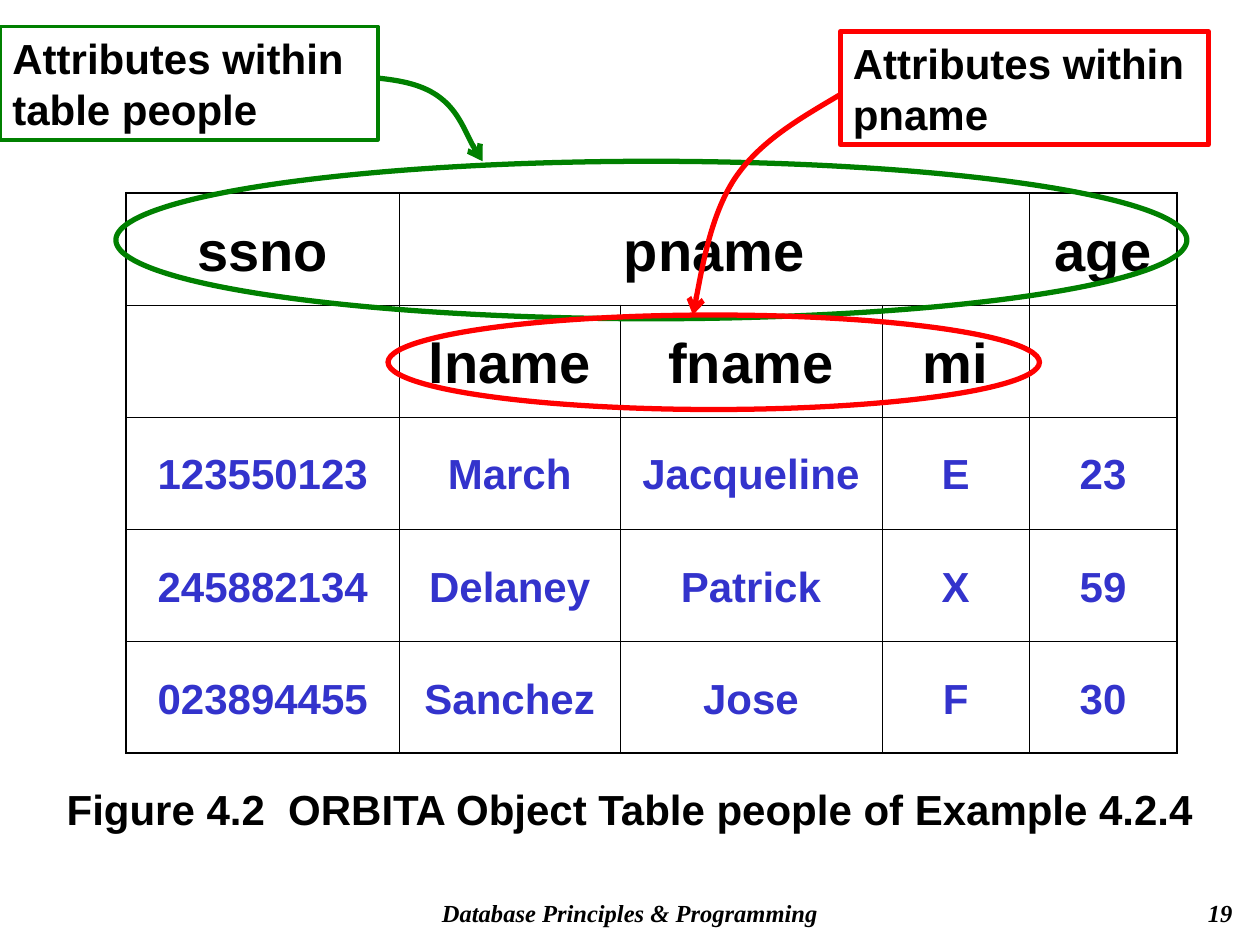
import dataclasses

import pptx
import pptx.dml.color
import pptx.enum.shapes
import pptx.enum.text
import pptx.oxml
import pptx.oxml.ns
import pptx.util

Inches, Pt = pptx.util.Inches, pptx.util.Pt
ALIGN = pptx.enum.text.PP_ALIGN
ANCHOR = pptx.enum.text.MSO_ANCHOR
SHAPE = pptx.enum.shapes.MSO_SHAPE
qn = pptx.oxml.ns.qn

Box = tuple[float, float, float, float]
Point = tuple[float, float]

BLACK, BLUE, GREEN, RED = "000000", "3333CC", "008000", "FF0000"
COLUMN_WIDTHS = [2.17, 1.75, 2.08, 1.17, 1.17]
ROW_HEIGHT = 0.89
HEADER_ROWS = 2
PEOPLE = [
    ["ssno", "pname", "", "", "age"],
    ["", "lname", "fname", "mi", ""],
    ["123550123", "March", "Jacqueline", "E", "23"],
    ["245882134", "Delaney", "Patrick", "X", "59"],
    ["023894455", "Sanchez", "Jose", "F", "30"],
]


@dataclasses.dataclass
class Callout:
    """A label box, the ellipse it explains and the curved arrow between them."""
    label: str
    color: str
    box: Box
    box_line: float
    ellipse: Box
    curve: list[Point]  # start, then two control points and an end per segment


CALLOUTS = [
    Callout("Attributes within table people", GREEN, (0, 0.21, 3, 0.9), 2,
            (0.92, 1.28, 8.5, 1.25),
            [(3, 0.62), (3.18, 0.64), (3.36, 0.67), (3.5, 0.78),
             (3.64, 0.89), (3.76, 1.2), (3.83, 1.28)]),
    Callout("Attributes within pname", RED, (6.67, 0.25, 2.92, 0.9), 3,
            (3.08, 2.5, 5.17, 0.75),
            [(6.67, 0.75), (6.35, 0.94), (6.03, 1.12), (5.83, 1.42),
             (5.64, 1.71), (5.53, 2.35), (5.5, 2.5)]),
]


def rgb(color: str) -> pptx.dml.color.RGBColor:
    return pptx.dml.color.RGBColor.from_string(color)


def write(tf, text: str, size: float, align, color: str = BLACK, font: str = "Arial",
          italic: bool = False, before: float = 0):
    tf.text = text
    p = tf.paragraphs[0]
    p.alignment = align
    p.space_before = Pt(before)
    p.font.name, p.font.size = font, Pt(size)
    p.font.bold, p.font.italic = True, italic
    p.font.color.rgb = rgb(color)
    return p


def add_text(slide, box: Box, text: str, size: float, align, **style) -> None:
    tf = slide.shapes.add_textbox(*map(Inches, box)).text_frame
    tf.word_wrap = True
    write(tf, text, size, align, **style)


def set_borders(cell, widths: dict[str, float]) -> None:
    """Draw black cell borders; widths in points are keyed by side, in schema order."""
    tc_pr = cell._tc.get_or_add_tcPr()
    for side, width in widths.items():
        tc_pr.append(pptx.oxml.parse_xml(
            f'<a:ln{side} {pptx.oxml.ns.nsdecls("a")} w="{Pt(width)}">'
            f'<a:solidFill><a:srgbClr val="{BLACK}"/></a:solidFill></a:ln{side}>'))


def add_people_table(slide) -> None:
    rows, cols = len(PEOPLE), len(COLUMN_WIDTHS)
    table = slide.shapes.add_table(rows, cols, Inches(1), Inches(1.53),
                                   Inches(sum(COLUMN_WIDTHS)),
                                   Inches(rows * ROW_HEIGHT)).table
    table.first_row = table.horz_banding = False
    for column, width in zip(table.columns, COLUMN_WIDTHS):
        column.width = Inches(width)
    for row in table.rows:
        row.height = Inches(ROW_HEIGHT)
    for i, values in enumerate(PEOPLE):
        header = i < HEADER_ROWS
        size, color, before = (32, BLACK, 8) if header else (24, BLUE, 6)
        for j, value in enumerate(values):
            cell = table.cell(i, j)
            cell.vertical_anchor = ANCHOR.MIDDLE
            p = write(cell.text_frame, value, size, ALIGN.CENTER, color, before=before)
            p.line_spacing = 1.1
            outer = {"L": j == 0, "R": j == cols - 1, "T": i == 0, "B": i == rows - 1}
            set_borders(cell, {side: 1.08 if edge else 0.45 for side, edge in outer.items()})
            cell.fill.background()
    table.cell(0, 1).merge(table.cell(0, 3))


def outline(sp, color: str, width: float) -> None:
    sp.shadow.inherit = False
    sp.fill.background()
    sp.line.color.rgb = rgb(color)
    sp.line.width = Pt(width)


def add_curved_arrow(shapes, points: list[Point], color: str) -> None:
    """Build the points as a polyline, then turn each three lines into one Bézier segment."""
    start, *rest = [(Inches(x), Inches(y)) for x, y in points]
    builder = shapes.build_freeform(*start)
    builder.add_line_segments(rest, close=False)
    sp = builder.convert_to_shape()
    outline(sp, color, 3)
    lines = list(sp._element.iter(qn("a:lnTo")))
    for k in range(0, len(lines), 3):
        bezier = pptx.oxml.parse_xml(f'<a:cubicBezTo {pptx.oxml.ns.nsdecls("a")}/>')
        lines[k].addprevious(bezier)
        for line in lines[k:k + 3]:
            bezier.append(line[0])
            line.getparent().remove(line)
    sp.line._get_or_add_ln().append(pptx.oxml.parse_xml(
        f'<a:tailEnd {pptx.oxml.ns.nsdecls("a")} type="arrow"/>'))


def add_callout(slide, callout: Callout) -> None:
    shapes = slide.shapes.add_group_shape().shapes
    ellipse = shapes.add_shape(SHAPE.OVAL, *map(Inches, callout.ellipse))
    outline(ellipse, callout.color, 3)
    box = shapes.add_shape(SHAPE.RECTANGLE, *map(Inches, callout.box))
    outline(box, callout.color, callout.box_line)
    tf = box.text_frame
    tf.word_wrap = True
    tf.vertical_anchor = ANCHOR.TOP
    write(tf, callout.label, 24, ALIGN.LEFT, before=15)
    add_curved_arrow(shapes, callout.curve, callout.color)


def main() -> None:
    prs = pptx.Presentation()
    prs.slide_width, prs.slide_height = Inches(10), Inches(7.5)
    slide = prs.slides.add_slide(prs.slide_layouts[6])
    footer = {"font": "Times New Roman", "italic": True}
    add_text(slide, (2.75, 7.08, 4.5, 0.33), "Database Principles & Programming",
             14, ALIGN.CENTER, **footer)
    add_text(slide, (7.8, 7.08, 2.08, 0.33), "19", 14, ALIGN.RIGHT, **footer)
    add_people_table(slide)
    add_text(slide, (0, 6.17, 10, 0.5),
             "Figure 4.2  ORBITA Object Table people of Example 4.2.4",
             24, ALIGN.CENTER, before=15)
    for callout in CALLOUTS:
        add_callout(slide, callout)
    prs.save("out.pptx")


if __name__ == "__main__":
    main()
